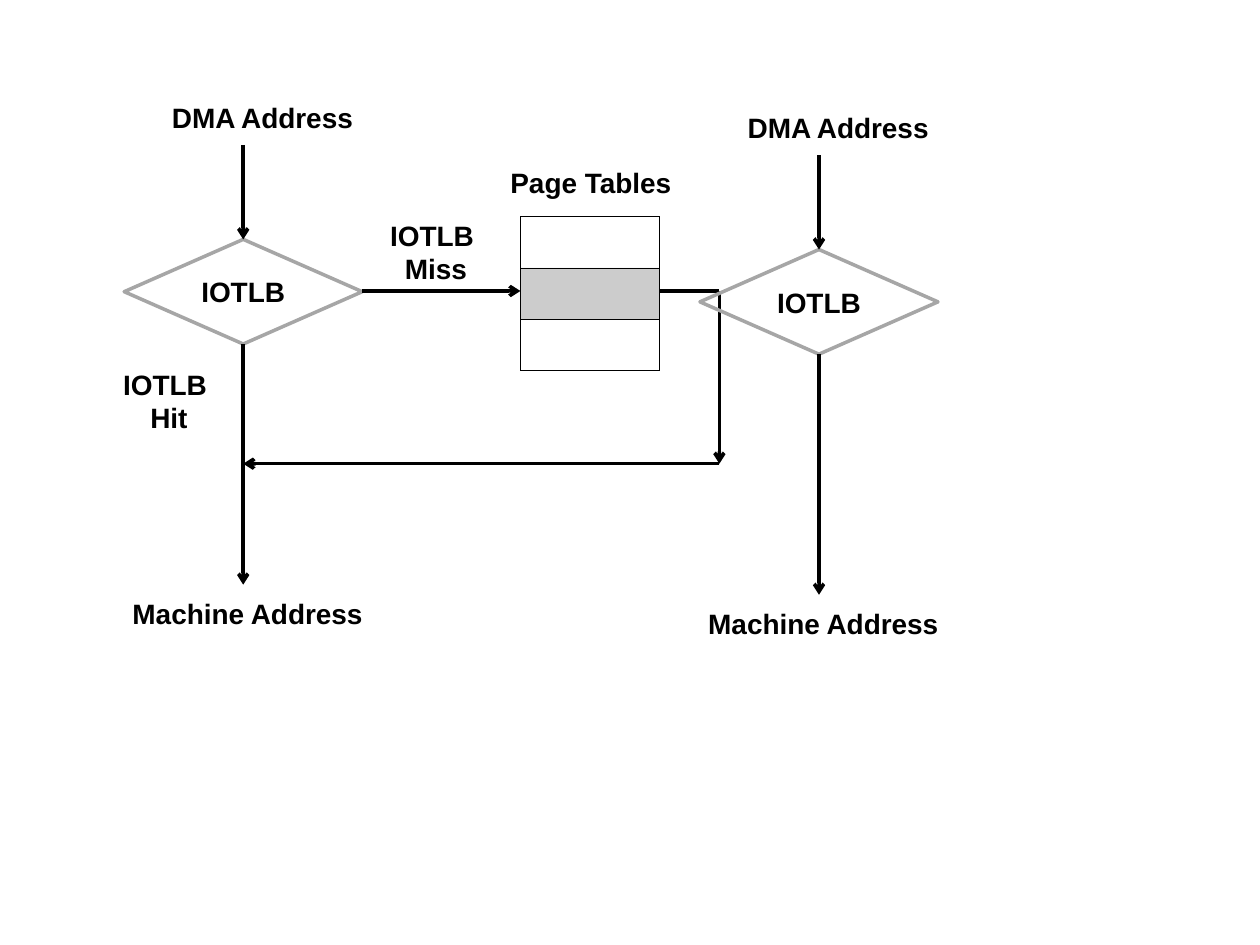
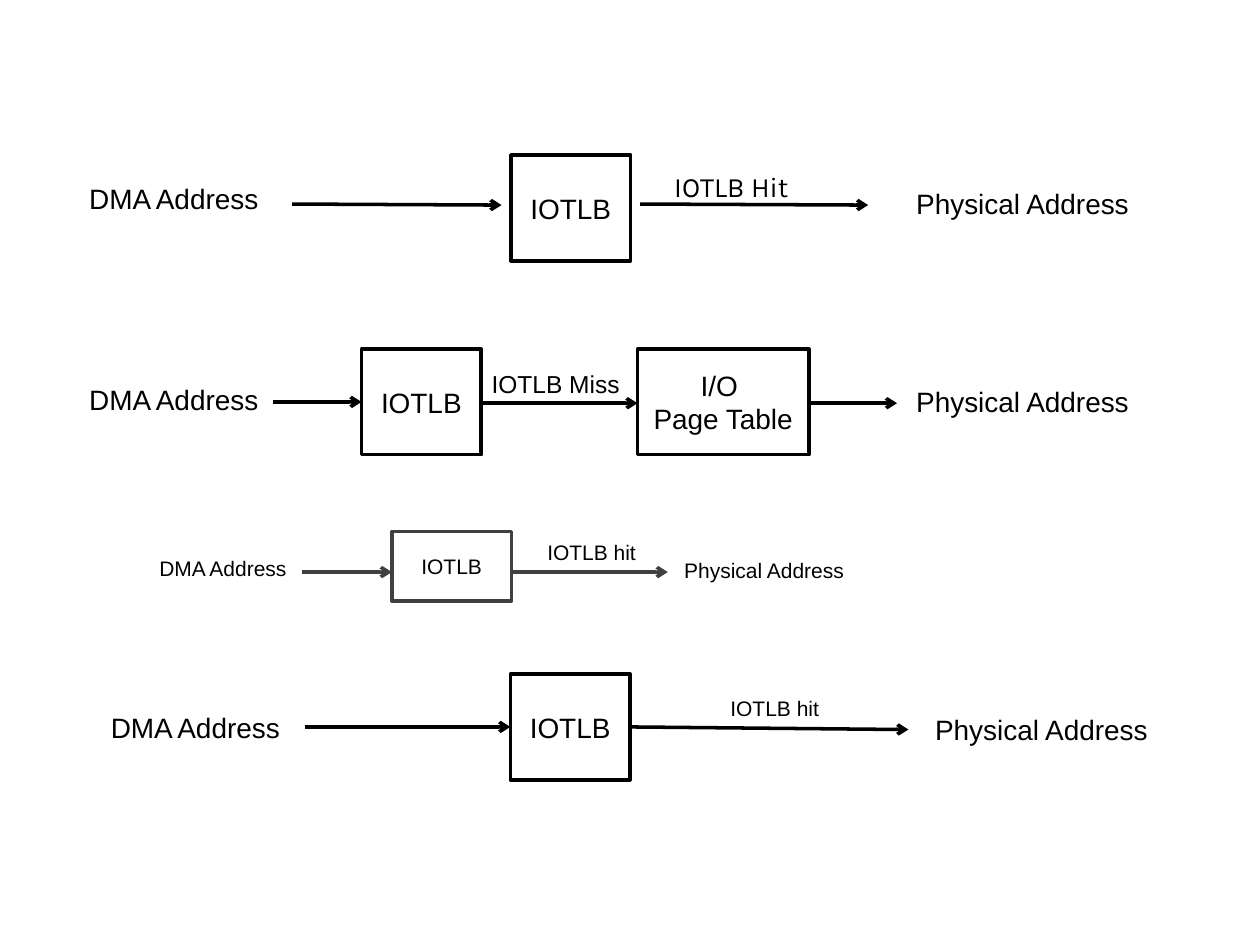
from dataclasses import dataclass
from typing import Any, Optional

from lxml.etree import SubElement
from pptx import Presentation
from pptx.dml.color import RGBColor
from pptx.enum.shapes import MSO_CONNECTOR, MSO_SHAPE
from pptx.enum.text import MSO_ANCHOR, PP_ALIGN
from pptx.oxml.ns import qn
from pptx.util import Pt


@dataclass(frozen=True)
class Theme:
    font: str = "Arial"
    accent_font: str = "Karla"
    black: str = "000000"
    dark_gray: str = "404040"
    light_gray: str = "A6A6A6"
    text_size: float = 16
    medium_size: float = 14
    small_size: float = 12
    line_width: float = 2
    border_width: float = 0.45
    shade_percent: int = 20


THEME = Theme()


@dataclass(frozen=True)
class Label:
    """Centred text; it becomes a preset shape when an outline is given."""
    text: str
    left: float
    top: float
    width: float
    height: float
    size: float = THEME.text_size
    bold: bool = False
    font: str = THEME.font
    outline: Optional[MSO_SHAPE] = None
    color: str = THEME.black


@dataclass(frozen=True)
class Arrow:
    start: tuple[float, float]
    end: tuple[float, float]
    color: str = THEME.black
    head: bool = True


@dataclass(frozen=True)
class Lookup:
    """One row of the address translation; grouped rows form one object."""
    items: list
    grouped: bool = False


def apply_format(target: Any, values: dict[str, Any]) -> None:
    for name, value in values.items():
        setattr(target, name, value)


def draw_label(shapes: Any, label: Label) -> None:
    frame = [Pt(value) for value in (label.left, label.top, label.width, label.height)]
    if label.outline is None:
        shape = shapes.add_textbox(*frame)
    else:
        shape = shapes.add_shape(label.outline, *frame)
        shape.shadow.inherit = False
        shape.fill.background()
        shape.line.color.rgb = RGBColor.from_string(label.color)
        shape.line.width = Pt(THEME.line_width)
    text_frame = shape.text_frame
    apply_format(text_frame, {"word_wrap": True, "vertical_anchor": MSO_ANCHOR.MIDDLE,
                              "text": label.text})
    for paragraph in text_frame.paragraphs:
        paragraph.alignment = PP_ALIGN.CENTER
        for run in paragraph.runs:
            apply_format(run.font, {"name": label.font, "size": Pt(label.size),
                                    "bold": label.bold})
            run.font.color.rgb = RGBColor.from_string(THEME.black)


def draw_arrow(shapes: Any, arrow: Arrow) -> None:
    points = [Pt(value) for value in arrow.start + arrow.end]
    connector = shapes.add_connector(MSO_CONNECTOR.STRAIGHT, *points)
    connector.line.color.rgb = RGBColor.from_string(arrow.color)
    connector.line.width = Pt(THEME.line_width)
    properties = connector._element.spPr
    if arrow.head:
        SubElement(properties.find(qn("a:ln")), qn("a:tailEnd"), type="arrow")
    SubElement(properties, qn("a:effectLst"))


def draw_items(shapes: Any, items: list) -> None:
    for item in items:
        if isinstance(item, Arrow):
            draw_arrow(shapes, item)
        else:
            draw_label(shapes, item)


def diagram_label(text: str, left: float, top: float, width: float,
                  height: float = 43.2, **options: Any) -> Label:
    return Label(text, left, top, width, height, bold=True, **options)


def translation_column(center: float, top: float) -> list:
    """DMA address, IOTLB diamond and machine address, one below the other."""
    return [
        diagram_label("IOTLB", center - 68, top, 136, 59.8,
                      outline=MSO_SHAPE.FLOWCHART_DECISION, color=THEME.light_gray),
        diagram_label("DMA Address", center - 57, top - 91.4, 136),
        Arrow((center, top - 54), (center, top)),
        Arrow((center, top + 59.8), (center, top + 197.3)),
        diagram_label("Machine Address", center - 74.2, top + 191.5, 153.4, 43.9),
    ]


def draw_page_tables(shapes: Any) -> None:
    row_count, shaded_row, row_height, width = 3, 1, 29.3, 79.2
    table = shapes.add_table(row_count, 1, Pt(297.4), Pt(123.8), Pt(width),
                             Pt(row_count * row_height)).table
    apply_format(table, {"first_row": False, "horz_banding": False})
    for index, row in enumerate(table.rows):
        row.height = Pt(row_height)
        cell = row.cells[0]
        apply_format(cell, {"margin_top": 0, "margin_bottom": 0})
        cell.text_frame.paragraphs[0].font.size = Pt(THEME.small_size)
        properties = cell._tc.get_or_add_tcPr()
        for side in ("a:lnL", "a:lnR", "a:lnT", "a:lnB"):
            border = SubElement(properties, qn(side), w=str(Pt(THEME.border_width)))
            SubElement(SubElement(border, qn("a:solidFill")), qn("a:srgbClr"), val=THEME.black)
        if index == shaded_row:
            cell.fill.solid()
            cell.fill.fore_color.rgb = RGBColor.from_string(THEME.black)
            color = properties.find(qn("a:solidFill")).find(qn("a:srgbClr"))
            SubElement(color, qn("a:alpha"), val=str(THEME.shade_percent * 1000))
        else:
            cell.fill.background()


def draw_translation_slide(slide: Any) -> None:
    center, middle, return_x, return_y = 139, 166.3, 411.1, 265
    draw_items(slide.shapes, translation_column(center, 136.8) + [
        Arrow((center + 68, middle), (297.4, middle)),
        diagram_label("IOTLB \nMiss", 172.8, 122.4, 152.6),
        diagram_label("IOTLB \nHit", 20.2, 207.4, 152.6),
        Arrow((return_x, middle), (return_x, return_y)),
        Arrow((return_x, middle), (376.6, middle), head=False),
    ])
    draw_page_tables(slide.shapes)
    draw_items(slide.shapes, [
        Arrow((return_x, return_y), (center, return_y)),
        diagram_label("Page Tables", 281.5, 82.8, 112.3),
    ] + translation_column(468, 142.6))


def dma_label(left: float, top: float, size: float = THEME.text_size) -> Label:
    return Label("DMA Address", left, top, 125.3, 49, size)


def physical_label(left: float, top: float, size: float = THEME.text_size) -> Label:
    return Label("Physical Address", left, top, 153.4, 43.9, size)


def box(text: str, left: float, top: float, width: float = 68.4,
        height: float = 60.5, **options: Any) -> Label:
    return Label(text, left, top, width, height, outline=MSO_SHAPE.RECTANGLE, **options)


LOOKUPS = [
    Lookup([
        Arrow((156.2, 229.7), (206.6, 229.7)),
        box("I/O \nPage Table", 364.3, 199.4, 97.9),
        dma_label(36.7, 203.8),
        box("IOTLB", 206.6, 199.4),
        Arrow((275, 230.4), (364.3, 230.4)),
        Label("IOTLB Miss", 272.2, 196.6, 90.7, 45.4, THEME.medium_size),
        physical_label(507.6, 207.4),
        Arrow((462.2, 230.4), (512.6, 230.4)),
    ], grouped=True),
    Lookup([
        dma_label(36.7, 88.6),
        box("IOTLB", 292, 88.6),
        physical_label(507.6, 94.3),
        Arrow((365.8, 116.6), (496.1, 117.2)),
        Label("IOTLB Hit", 373.7, 83.5, 88.6, 45.4, font=THEME.accent_font),
        Arrow((167, 116.6), (286.6, 117.2)),
    ], grouped=True),
    Lookup([
        dma_label(64.8, 300.2, THEME.small_size),
        box("IOTLB", 223.9, 303.8, height=39.6, size=THEME.small_size, color=THEME.dark_gray),
        physical_label(360, 303.8, THEME.small_size),
        Arrow((292.3, 326.9), (381.6, 326.9), THEME.dark_gray),
        Label("IOTLB hit", 298.8, 293, 78.5, 45.4, THEME.small_size),
        Arrow((172.8, 326.9), (223.9, 326.9), THEME.dark_gray),
    ]),
    Lookup([
        Arrow((174.2, 415.4), (291.6, 415.4)),
        dma_label(49, 391),
        box("IOTLB", 291.6, 385.2),
        Label("IOTLB hit", 401, 382.3, 83.5, 44.6, THEME.small_size),
        physical_label(518.4, 394.6),
        Arrow((360, 415.4), (519.1, 416.9)),
    ]),
]


def draw_lookup_slide(slide: Any) -> None:
    for lookup in LOOKUPS:
        shapes = slide.shapes.add_group_shape().shapes if lookup.grouped else slide.shapes
        draw_items(shapes, lookup.items)


def main() -> None:
    presentation = Presentation()
    apply_format(presentation, {"slide_width": Pt(720), "slide_height": Pt(540)})
    blank_layout = presentation.slide_layouts[6]
    for draw_slide in (draw_translation_slide, draw_lookup_slide):
        draw_slide(presentation.slides.add_slide(blank_layout))
    presentation.save("out.pptx")


if __name__ == "__main__":
    main()
